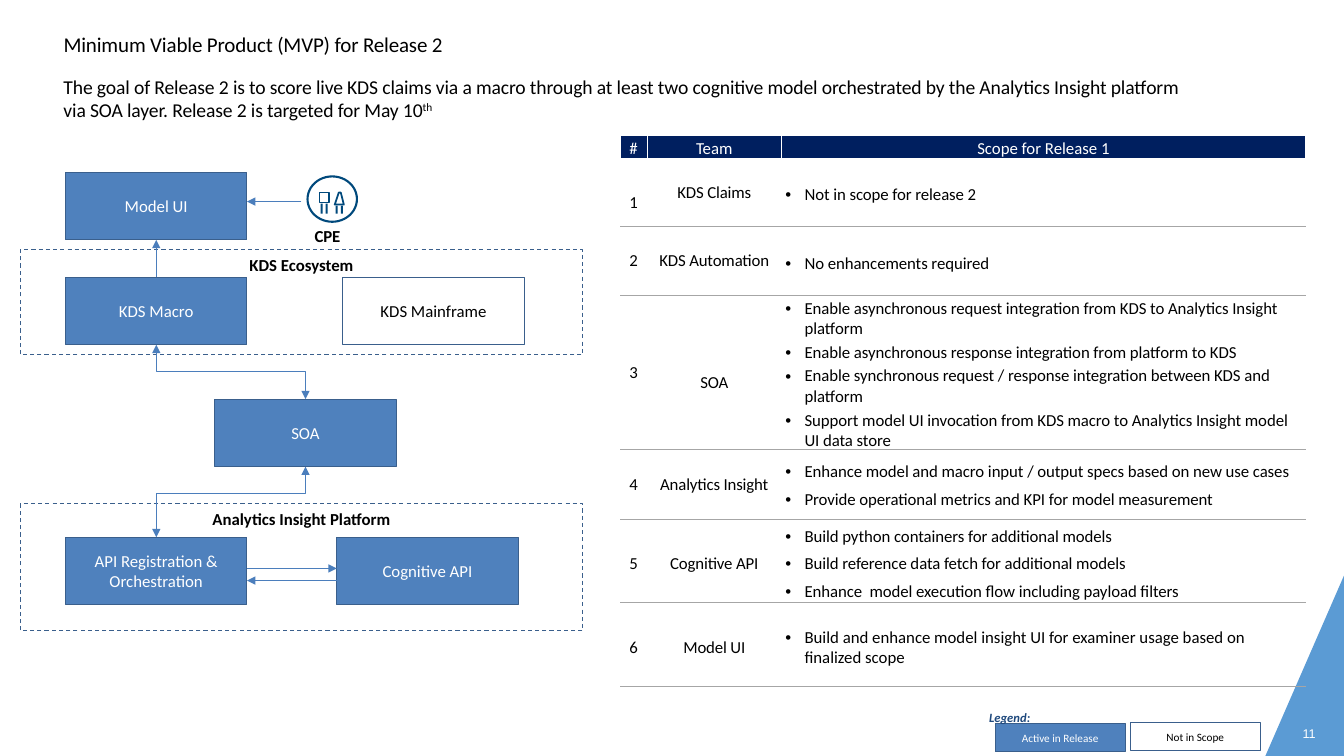
import pptx
import pptx.util
import pptx.dml.color
import pptx.enum.dml
import pptx.enum.shapes
import pptx.enum.text
import pptx.oxml
import pptx.oxml.ns

WIDTH, HEIGHT = 13.33, 7.5
BLUE, EDGE, ARROW, NAVY = "4F81BD", "3A5F8C", "4B7EBC", "001F5F"
ICON, GREY, WHITE, BLACK = "00497C", "A6A6A6", "FFFFFF", "000000"

# Content
TITLE = "Minimum Viable Product (MVP) for Release 2"
GOAL = ("The goal of Release 2 is to score live KDS claims via a macro through at least two cognitive "
        "model orchestrated by the Analytics Insight platform via SOA layer. Release 2 is targeted for May 10")
HEADER = ["#", "Team", "Scope for Release 1"]
# Team, scope bullets, row height, bullet spacing, label spacing, (number, team, scope) top margins
SCOPE = [
    ("KDS Claims", ["Not in scope for release 2"], 0.68, 3.5, 0.1, (0.2, 0, 0.05)),
    ("KDS Automation", ["No enhancements required"], 0.68, 3.5, 0.1, (0, 0, 0.05)),
    ("SOA", ["Enable asynchronous request integration from KDS to Analytics Insight platform",
             "Enable asynchronous response integration from platform to KDS",
             "Enable synchronous request / response integration between KDS and platform",
             "Support model UI invocation from KDS macro to Analytics Insight model UI data store"],
     1.53, 2.2, 0, (0, 0.2, 0.03)),
    ("Analytics Insight", ["Enhance model and macro input / output specs based on new use cases",
                           "Provide operational metrics and KPI for model measurement"],
     0.69, 5, 0.1, (0, 0, 0.03)),
    ("Cognitive API", ["Build python containers for additional models",
                       "Build reference data fetch for additional models",
                       "Enhance  model execution flow including payload filters"],
     0.83, 5, 4.5, (0.06, 0.06, 0.06)),
    ("Model UI", ["Build and enhance model insight UI for examiner usage based on finalized scope"],
     0.83, 5, 4.5, (0.06, 0.06, 0.06)),
]
COLUMNS = [0.27, 1.33, 5.2]
HEADER_HEIGHT = 0.23

# Diagram grid: three columns of equal boxes
BOX_W, BOX_H = 1.8, 0.67
LEFT, MIDDLE, RIGHT = 0.65, 2.13, 3.34
MODEL, MACRO, SOA, API = 1.71, 2.75, 3.96, 5.33
BOXES = [("Model UI", LEFT, MODEL, True), ("KDS Macro", LEFT, MACRO, True),
         ("KDS Mainframe", RIGHT + 0.06, MACRO, False), ("SOA", MIDDLE, SOA, True),
         ("API Registration & Orchestration", LEFT, API, True), ("Cognitive API", RIGHT, API, True)]
PANELS = [("KDS Ecosystem", 2.48, 1.04), ("Analytics Insight Platform", 5, 1.26)]
LEGEND = [("Active in Release", 9.87, 7.18, True), ("Not in Scope", 11.21, 7.17, False)]

# Icon figures: body outline and the left edges and top of the legs
FIGURES = [([(3.17, 1.91), (3.26, 1.91), (3.26, 2.01), (3.17, 2.01)], (3.18, 3.23), 2.02),
           ([(3.36, 1.91), (3.38, 1.91), (3.41, 2.03), (3.32, 2.03)], (3.33, 3.38), 2.04)]

inch, Pt = pptx.util.Inches, pptx.util.Pt
SHAPE = pptx.enum.shapes.MSO_SHAPE
ANCHOR = pptx.enum.text.MSO_ANCHOR
CENTER, START = pptx.enum.text.PP_ALIGN.CENTER, pptx.enum.text.PP_ALIGN.LEFT

deck = pptx.Presentation()
deck.slide_width, deck.slide_height = inch(WIDTH), inch(HEIGHT)
page = deck.slides.add_slide(deck.slide_layouts[6])


def color(value):
    return pptx.dml.color.RGBColor.from_string(value)


def element(parent, tag, **attributes):
    child = parent.makeelement(pptx.oxml.ns.qn(tag), attributes)
    parent.append(child)
    return child


def add_span(para, text, size, ink, font, bold, italic, spacing):
    span = para.add_run()
    span.text = text
    span.font.size, span.font.name = Pt(size), font
    span.font.bold, span.font.italic = bold, italic
    span.font.color.rgb = color(ink)
    if spacing:
        span.font._element.set("spc", str(round(spacing * 100)))
    return span


def write(frame, *lines, size=12, ink=BLACK, font="Calibri", bold=False, italic=False,
          align=START, before=0, spacing=0, bullet=False, raised=""):
    for index, text in enumerate(lines):
        para = frame.add_paragraph() if index else frame.paragraphs[0]
        para.alignment, para.space_before = align, Pt(before)
        look = (size, ink, font, bold, italic, spacing)
        add_span(para, text, *look)
        if raised:
            add_span(para, raised, *look).font._element.set("baseline", "30000")
        if bullet:
            props = para._p.get_or_add_pPr()
            props.set("marL", str(inch(0.23)))
            props.set("indent", str(inch(-0.19)))
            element(props, "a:buFont", typeface="Arial")
            element(props, "a:buChar", char="•")


def add_text(text, left, top, width, height, inset=0.01, **look):
    frame = page.shapes.add_textbox(inch(left), inch(top), inch(width), inch(height)).text_frame
    frame.word_wrap = True
    frame.margin_left = frame.margin_right = frame.margin_bottom = 0
    frame.margin_top = inch(inset)
    write(frame, text, **look)


def paint(shape, fill=None, line=None, weight=0.75):
    shape.shadow.inherit = False
    if fill:
        shape.fill.solid()
        shape.fill.fore_color.rgb = color(fill)
    else:
        shape.fill.background()
    if line:
        shape.line.color.rgb, shape.line.width = color(line), Pt(weight)
    else:
        shape.line.fill.background()
    return shape


def add_shape(kind, left, top, width, height, **style):
    return paint(page.shapes.add_shape(kind, inch(left), inch(top), inch(width), inch(height)), **style)


def add_outline(points, **style):
    corners = [(inch(x), inch(y)) for x, y in points]
    builder = page.shapes.build_freeform(*corners[0], scale=1.0)
    builder.add_line_segments(corners[1:], close=True)
    return paint(builder.convert_to_shape(), **style)


def add_box(text, left, top, active, width=BOX_W, height=BOX_H, kind=SHAPE.RECTANGLE, size=12):
    box = add_shape(kind, left, top, width, height, fill=BLUE if active else None, line=EDGE)
    box.text_frame.word_wrap = True
    box.text_frame.vertical_anchor = ANCHOR.MIDDLE
    write(box.text_frame, text, size=size, ink=WHITE if active else BLACK, align=CENTER)


def add_arrow(x1, y1, x2, y2, kind="STRAIGHT", ends=("tailEnd",)):
    connector = page.shapes.add_connector(getattr(pptx.enum.shapes.MSO_CONNECTOR, kind),
                                          inch(x1), inch(y1), inch(x2), inch(y2))
    connector.line.color.rgb, connector.line.width = color(ARROW), Pt(0.75)
    for end in ends:
        element(connector.line._get_or_add_ln(), "a:" + end, type="triangle")
    element(connector._element.spPr, "a:effectLst")
    return connector


def add_elbow(x1, y1, x2, y2, bend):
    # A downward elbow is a sideways one turned a quarter about its centre
    middle_x, middle_y = (x1 + x2) / 2, (y1 + y2) / 2
    run, rise = (y2 - y1) / 2, abs(x2 - x1) / 2
    connector = add_arrow(middle_x - run, middle_y - rise, middle_x + run, middle_y + rise,
                          "ELBOW", ("headEnd", "tailEnd"))
    frame = connector._element.spPr.xfrm
    frame.set("rot", str((270 if x2 > x1 else 90) * 60000))
    if x2 > x1:
        frame.set("flipH", "1")
    guides = connector._element.spPr.prstGeom.get_or_add_avLst()
    element(guides, "a:gd", name="adj1", fmla=f"val {round(bend * 100000)}")


def format_cell(cell, top, fill, borders):
    cell.margin_left = cell.margin_right = cell.margin_bottom = 0
    cell.margin_top = inch(top)
    props = cell._tc.get_or_add_tcPr()
    for side, style in zip("LRTB", borders):
        line = element(props, "a:ln" + side, w=str(Pt(style[1] if style else 0)))
        if style:
            element(element(line, "a:solidFill"), "a:srgbClr", val=style[0])
        else:
            element(line, "a:noFill")
    if fill:
        cell.fill.solid()
        cell.fill.fore_color.rgb = color(fill)
    else:
        cell.fill.background()


# Corner, page number and headings
add_outline([(WIDTH, 5.71), (12.55, HEIGHT), (WIDTH, HEIGHT)], fill="5B9BD4")
add_text("11", 12.92, 7.19, 0.2, 0.18, size=9, ink=WHITE, font="Arial", before=1, spacing=-0.1)
add_text(GOAL, 0.63, 0.73, 11.3, 0.49, size=14, before=1.1, spacing=-0.1, raised="th")
add_text(TITLE, 0.63, 0.3, 4.75, 0.27, size=15, before=1, spacing=-0.1)

# Scope table
heights = [HEADER_HEIGHT] + [row[2] for row in SCOPE]
table = page.shapes.add_table(len(heights), len(COLUMNS), inch(6.15), inch(1.34),
                              inch(sum(COLUMNS)), inch(sum(heights))).table
table.first_row = table.horz_banding = False
for column, width in zip(table.columns, COLUMNS):
    column.width = inch(width)
for row, height in zip(table.rows, heights):
    row.height = inch(height)
white, grey = (WHITE, 1), (GREY, 0.75)
for index, label in enumerate(HEADER):
    cell = table.cell(0, index)
    write(cell.text_frame, label, ink=WHITE, align=CENTER, before=2.2)
    format_cell(cell, 0.03, NAVY, [white] * 4)
for number, (team, bullets, _, gap, label_gap, tops) in enumerate(SCOPE, 1):
    tracking = [0, -0.1, -0.05 if number < len(SCOPE) else 0]
    for index, lines in enumerate([[str(number)], [team], bullets]):
        cell, listed = table.cell(number, index), index == 2
        write(cell.text_frame, *lines, bullet=listed, align=START if listed else CENTER,
              before=gap if listed else label_gap, spacing=tracking[index])
        cell.vertical_anchor = ANCHOR.MIDDLE
        format_cell(cell, tops[index], None, [None, None, white if number == 1 else grey, grey])

# Diagram boxes and dashed panels
for box in BOXES:
    add_box(*box)
for text, top, height in PANELS:
    panel = add_shape(SHAPE.RECTANGLE, 0.2, top, 5.58, height, line=EDGE)
    panel.line.dash_style = pptx.enum.dml.MSO_LINE.DASH
    panel.text_frame.vertical_anchor = ANCHOR.TOP
    write(panel.text_frame, text, bold=True, align=CENTER)

# Arrows between boxes
left_x, middle_x, left_edge = LEFT + BOX_W / 2, MIDDLE + BOX_W / 2, LEFT + BOX_W
add_arrow(left_edge, 5.64, RIGHT, 5.64)
add_arrow(RIGHT, 5.76, left_edge, 5.76)
add_arrow(left_x, MACRO, left_x, MODEL + BOX_H)
add_arrow(2.99, 2, left_edge, 2)
add_elbow(left_x, MACRO + BOX_H, middle_x, SOA, 0.5)
add_elbow(middle_x, SOA + BOX_H, left_x, API, 0.38)

# Examiner icon
add_shape(SHAPE.OVAL, 3.05, 1.75, 0.49, 0.45, line=ICON, weight=1.5)
for body, legs, hip in FIGURES:
    add_outline(body, line=ICON, weight=1.25)
    for leg in legs:
        add_shape(SHAPE.RECTANGLE, leg, hip, 0.02, 2.12 - hip, fill=ICON)
add_text("CPE", 3.12, 2.23, 0.3, 0.22, bold=True, before=1, spacing=-0.1)

# Legend
for text, left, top, active in LEGEND:
    add_box(text, left, top, active, 1.29, 0.28, SHAPE.FLOWCHART_PROCESS, 8)
add_text("Legend:", 9.81, 6.99, 0.85, 0.38, inset=0.05, size=9, ink="1F497D", bold=True, italic=True, before=6)

deck.save("out.pptx")
